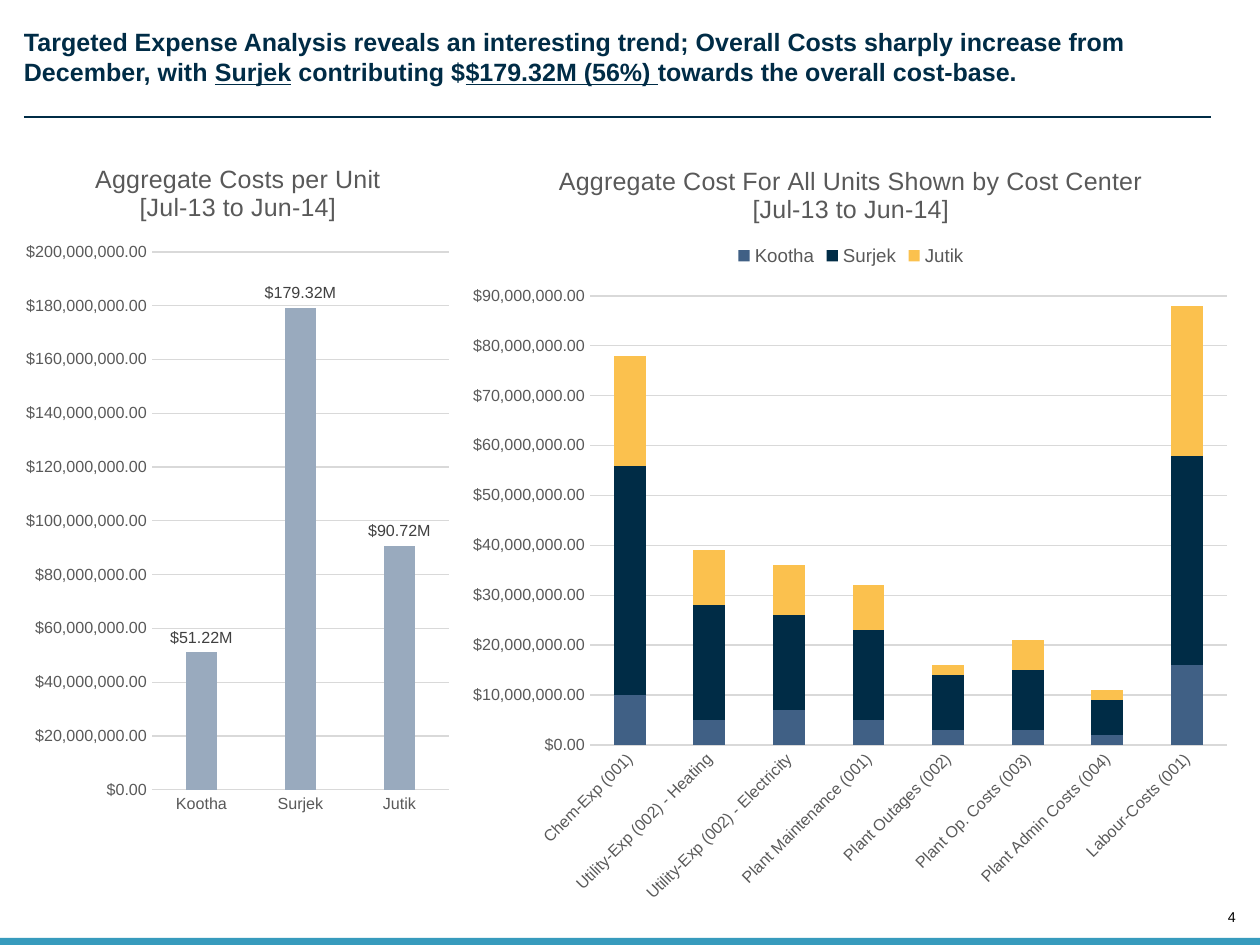
from pptx import Presentation
from pptx.chart.data import CategoryChartData
from pptx.dml.color import RGBColor
from pptx.enum.chart import XL_CHART_TYPE, XL_LABEL_POSITION, XL_LEGEND_POSITION, XL_TICK_MARK
from pptx.enum.shapes import MSO_CONNECTOR, MSO_SHAPE
from pptx.enum.text import MSO_ANCHOR, PP_ALIGN
from pptx.oxml import parse_xml
from pptx.oxml.ns import nsdecls
from pptx.util import Pt

CLUSTERED, STACKED = XL_CHART_TYPE.COLUMN_CLUSTERED, XL_CHART_TYPE.COLUMN_STACKED
NO_TICK = XL_TICK_MARK.NONE
OUTSIDE_END = XL_LABEL_POSITION.OUTSIDE_END
LEGEND_TOP = XL_LEGEND_POSITION.TOP
LEFT, RIGHT = PP_ALIGN.LEFT, PP_ALIGN.RIGHT
TOP, BOTTOM = MSO_ANCHOR.TOP, MSO_ANCHOR.BOTTOM
STRAIGHT, RECTANGLE = MSO_CONNECTOR.STRAIGHT, MSO_SHAPE.RECTANGLE

EMU_PER_PX = 7112
FONT = "Arial"
NAVY, GREY, GRID = "002C46", "595959", "D9D9D9"
DOLLARS = '"$"#,##0.00;[Red]\\-"$"#,##0.00'
MILLION = 1_000_000

UNITS = ["Kootha", "Surjek", "Jutik"]
UNIT_TOTALS = [("Aggregate cost", [51.22, 179.32, 90.72], "99AABE")]
COST_CENTERS = [
    "Chem-Exp (001)", "Utility-Exp (002) - Heating", "Utility-Exp (002) - Electricity",
    "Plant Maintenance (001)", "Plant Outages (002)", "Plant Op. Costs (003)",
    "Plant Admin Costs (004)", "Labour-Costs (001)",
]
CENTER_COSTS = [
    ("Kootha", [10, 5, 7, 5, 3, 3, 2, 16], "406085"),
    ("Surjek", [46, 23, 19, 18, 11, 12, 7, 42], NAVY),
    ("Jutik", [22, 11, 10, 9, 2, 6, 2, 30], "FBC14E"),
]
HEADLINE = [
    ("Targeted Expense Analysis reveals an interesting trend; Overall Costs sharply "
     "increase from December, with ", False),
    ("Surjek", True),
    (" contributing $", False),
    ("$179.32M (56%) ", True),
    ("towards the overall cost-base.", False),
]


def px(*lengths):
    return [n * EMU_PER_PX for n in lengths]


def rgb(hex_color):
    return RGBColor.from_string(hex_color)


def style_font(font, size, color, bold=False):
    font.name, font.size, font.bold = FONT, Pt(size), bold
    font.color.rgb = rgb(color)


def add_text(s, box, runs, size, color, bold=False, align=LEFT, anchor=TOP, wrap=True):
    """Add a text box from (text, underlined) runs."""
    tf = s.shapes.add_textbox(*px(*box)).text_frame
    tf.margin_left = tf.margin_top = tf.margin_right = tf.margin_bottom = 0
    tf.word_wrap, tf.vertical_anchor = wrap, anchor
    p = tf.paragraphs[0]
    p.alignment = align
    for text, underlined in runs:
        r = p.add_run()
        r.text = text
        style_font(r.font, size, color, bold)
        r.font.underline = underlined


def place_plot(chart, box, plot):
    """Fix the inner plot area, with plot given in slide px."""
    x, y, w, h = box
    fractions = {"x": (plot[0] - x) / w, "y": (plot[1] - y) / h,
                 "w": plot[2] / w, "h": plot[3] / h}
    values = "".join(f'<c:{k} val="{v:.4f}"/>' for k, v in fractions.items())
    area = chart.element.xpath("c:chart/c:plotArea")[0]
    for old in area.xpath("c:layout"):
        area.remove(old)
    area.insert(0, parse_xml(
        f'<c:layout {nsdecls("c")}><c:manualLayout><c:layoutTarget val="inner"/>'
        f'<c:xMode val="edge"/><c:yMode val="edge"/>{values}</c:manualLayout></c:layout>'))


def style_axes(chart, top, step):
    cat, val = chart.category_axis, chart.value_axis
    for axis in (cat, val):
        axis.major_tick_mark = axis.minor_tick_mark = NO_TICK
        style_font(axis.tick_labels.font, 9, GREY)
    val.minimum_scale, val.maximum_scale, val.major_unit = 0, top * MILLION, step * MILLION
    val.tick_labels.number_format = DOLLARS
    val.tick_labels.number_format_is_linked = False
    val.format.line.fill.background()
    for line in (cat.format.line, val.major_gridlines.format.line):
        line.color.rgb, line.width = rgb(GRID), Pt(0.75)


def add_cost_chart(s, box, plot, kind, title, cats, series, top, step, gap, overlap):
    data = CategoryChartData(number_format=DOLLARS)
    data.categories = cats
    for name, millions, _ in series:
        data.add_series(name, [round(m * MILLION) for m in millions])
    chart = s.shapes.add_chart(kind, *px(*box), data).chart
    style_font(chart.font, 10, "000000")
    chart.has_legend = False

    tf = chart.chart_title.text_frame
    for i, line in enumerate(title):
        p = tf.add_paragraph() if i else tf.paragraphs[0]
        r = p.add_run()
        r.text = line
        style_font(r.font, 14, GREY)
    chart.chart_title.include_in_layout = False

    bars = chart.plots[0]
    bars.gap_width, bars.overlap, bars.vary_by_categories = gap, overlap, False
    for bar, (_, _, color) in zip(bars.series, series):
        bar.format.fill.solid()
        bar.format.fill.fore_color.rgb = rgb(color)
        bar.invert_if_negative = False
    style_axes(chart, top, step)
    place_plot(chart, box, plot)
    return chart


def add_header(s, box):
    x, y, w, h = box
    add_text(s, (x, y, 1229, 60), HEADLINE, 14, NAVY, bold=True)
    rule = s.shapes.add_connector(STRAIGHT, *px(x, y + h, x + w, y + h))
    rule.line.color.rgb, rule.line.width = rgb(NAVY), Pt(0.75)
    rule.element.spPr.append(parse_xml(f'<a:effectLst {nsdecls("a")}/>'))


def add_unit_chart(s, box):
    x, y, _, _ = box
    chart = add_cost_chart(
        s, box, (x + 134, y + 113, 297, 538), CLUSTERED,
        ["Aggregate Costs per Unit", "[Jul-13 to Jun-14]"],
        UNITS, UNIT_TOTALS, top=200, step=20, gap=219, overlap=-27)
    bars = chart.plots[0]
    bars.has_data_labels = True
    labels = bars.data_labels
    labels.show_value, labels.position = True, OUTSIDE_END
    labels.number_format, labels.number_format_is_linked = '"$"0.00,,"M"', False
    style_font(labels.font, 9, "404040")


def add_center_chart(s, box):
    x, y, _, _ = box
    chart = add_cost_chart(
        s, box, (x + 132, y + 157, 637, 449), STACKED,
        ["Aggregate Cost For All Units Shown by Cost Center", "[Jul-13 to Jun-14]"],
        COST_CENTERS, CENTER_COSTS, top=90, step=10, gap=150, overlap=100)
    chart.has_legend = True
    chart.legend.position, chart.legend.include_in_layout = LEGEND_TOP, False
    style_font(chart.legend.font, 10.5, GREY)
    label_body = chart.element.xpath(".//c:catAx/c:txPr/a:bodyPr")[0]
    label_body.set("rot", "-2700000")
    label_body.set("vert", "horz")


def add_footer(s, box):
    x, y, w, _ = box
    bar = s.shapes.add_shape(RECTANGLE, *px(*box))
    bar.shadow.inherit = False
    bar.fill.solid()
    bar.fill.fore_color.rgb = rgb("379BBD")
    bar.line.fill.background()
    add_text(s, (x + w - 42, y - 30, 18, 17), [("4", False)], 8, "000000",
             align=RIGHT, anchor=BOTTOM, wrap=False)


def main():
    prs = Presentation()
    prs.slide_width, prs.slide_height = px(1260, 945)
    s = prs.slides.add_slide(prs.slide_layouts[6])
    add_footer(s, (0, 938, 1260, 7))
    add_header(s, (24, 27, 1187, 90))
    add_unit_chart(s, (18, 139, 440, 689))
    add_center_chart(s, (458, 139, 786, 780))
    prs.save("out.pptx")


if __name__ == "__main__":
    main()
